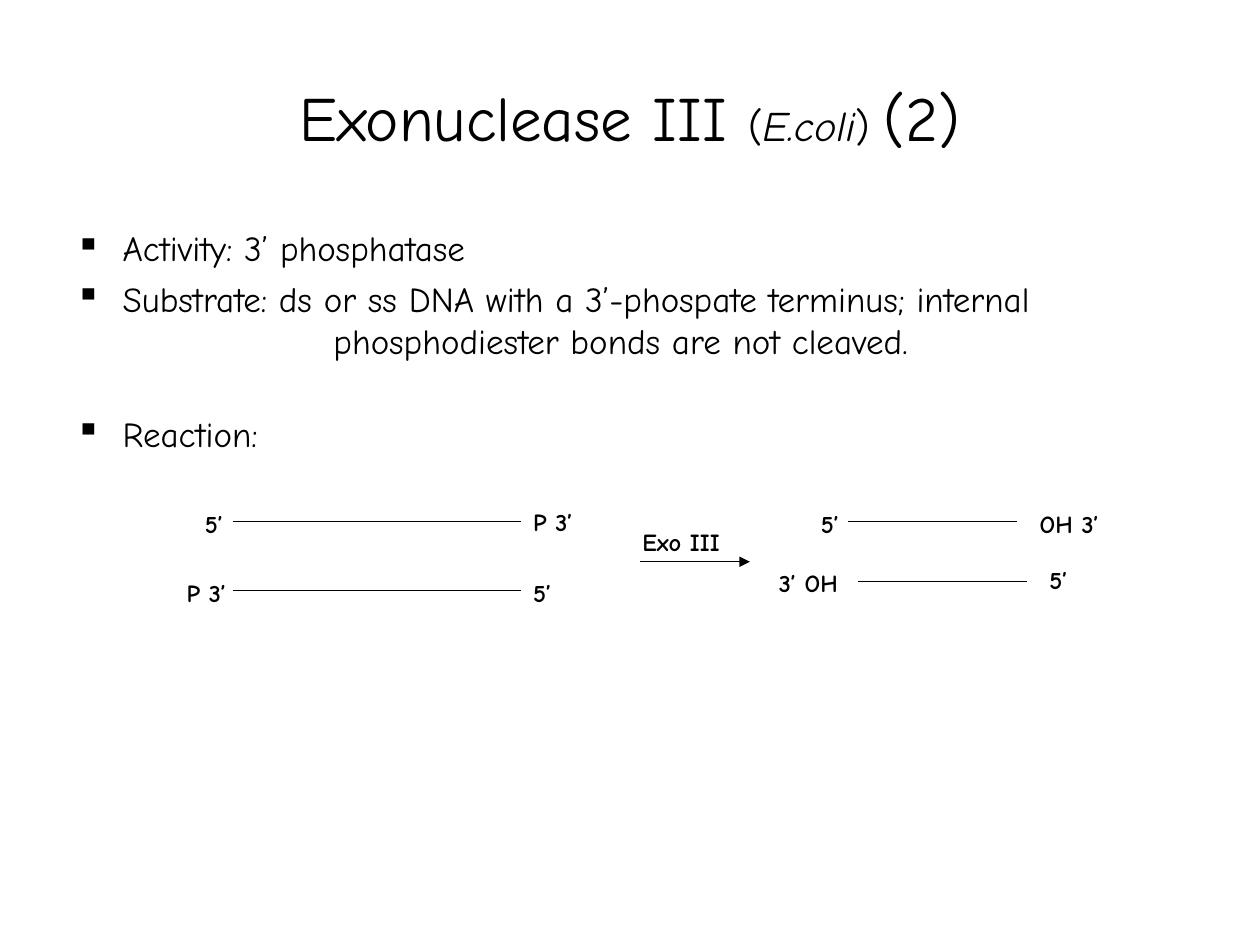
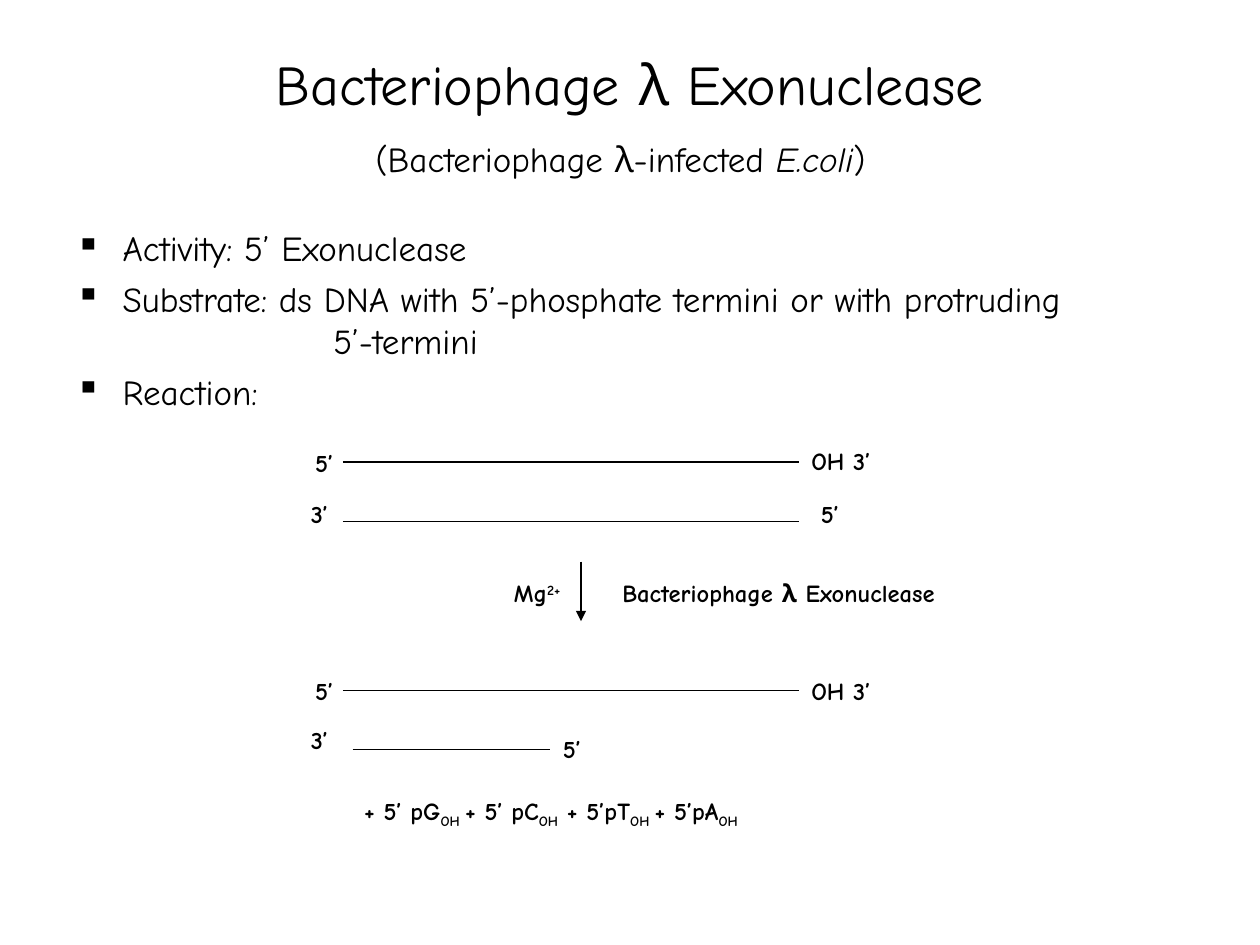
from dataclasses import dataclass

from lxml import etree
from pptx import Presentation
from pptx.dml.color import RGBColor
from pptx.enum import shapes, text
from pptx.oxml import ns
from pptx.util import Pt


@dataclass(frozen=True)
class Theme:
    font: str = "Comic Neue"
    ink: RGBColor = RGBColor(0, 0, 0)
    title: int = 36
    long_title: int = 32
    source: int = 24
    body: int = 20
    label: int = 14
    line: float = 0.75


THEME = Theme()
ITALIC = {"italic": True}
SUBSCRIPT = {"baseline": -25}
SUPERSCRIPT = {"baseline": 30}
BODY_LINE = 24
BULLET_GAP = 5
BULLET_INDENT = 27
CONTINUED_INDENT = 147.5


def add_runs(paragraph, runs, **shared):
    """Write a string, or a list of strings and (string, format) pairs."""
    for part in [runs] if isinstance(runs, str) else runs:
        words, own = (part, {}) if isinstance(part, str) else part
        run = paragraph.add_run()
        run.text = words
        formats = {"name": THEME.font, **shared, **own}
        baseline = formats.pop("baseline", 0)
        for key, value in formats.items():
            setattr(run.font, key, value)
        run.font.color.rgb = THEME.ink
        if baseline:
            run._r.get_or_add_rPr().set("baseline", str(baseline * 1000))


def add_frame(slide, left, top, width, height, anchor=text.MSO_ANCHOR.TOP):
    frame = slide.shapes.add_textbox(Pt(left), Pt(top), Pt(width), Pt(height)).text_frame
    frame.word_wrap = True
    frame.vertical_anchor = anchor
    return frame


def next_paragraph(frame, index):
    return frame.add_paragraph() if index else frame.paragraphs[0]


def add_title(slide, size, *lines):
    frame = add_frame(slide, 36, 21.6, 648, 90, text.MSO_ANCHOR.MIDDLE)
    for index, runs in enumerate(lines):
        paragraph = next_paragraph(frame, index)
        paragraph.alignment = text.PP_ALIGN.CENTER
        add_runs(paragraph, runs, size=Pt(size))


def add_bullet(paragraph):
    properties = paragraph._p.get_or_add_pPr()
    properties.set("indent", str(-Pt(BULLET_INDENT)))
    colour = etree.SubElement(properties, ns.qn("a:buClr"))
    etree.SubElement(colour, ns.qn("a:srgbClr")).set("val", str(THEME.ink))
    etree.SubElement(properties, ns.qn("a:buChar")).set("char", "▪")


def add_facts(slide, activity, substrate, continued, reaction_gap=BULLET_GAP):
    """Activity, substrate (with an indented second line) and reaction."""
    facts = [
        (f"Activity: {activity}", True, 0),
        (f"Substrate: {substrate}", True, BULLET_GAP),
        (continued, False, 0),
        ("Reaction:", True, reaction_gap),
    ]
    frame = add_frame(slide, 36, 126, 648, 356.4)
    for index, (fact, bulleted, gap) in enumerate(facts):
        paragraph = next_paragraph(frame, index)
        margin = BULLET_INDENT if bulleted else CONTINUED_INDENT
        paragraph._p.get_or_add_pPr().set("marL", str(Pt(margin)))
        if bulleted:
            add_bullet(paragraph)
        if gap:
            paragraph.space_before = Pt(gap)
        add_runs(paragraph, fact, size=Pt(THEME.body))


def add_label(slide, runs, left, top, width=76):
    frame = add_frame(slide, left, top, width, 24.5)
    add_runs(frame.paragraphs[0], runs, size=Pt(THEME.label), bold=True)


def add_line(slide, x1, y1, x2, y2, arrow=False):
    line = slide.shapes.add_connector(
        shapes.MSO_CONNECTOR.STRAIGHT, Pt(x1), Pt(y1), Pt(x2), Pt(y2))
    line.line.color.rgb = THEME.ink
    line.line.width = Pt(THEME.line)
    if arrow:
        etree.SubElement(line.line._get_or_add_ln(), ns.qn("a:tailEnd")).set("type", "triangle")
    etree.SubElement(line._element.spPr, ns.qn("a:effectLst"))


def add_strand(slide, start, end, y, left_end, right_end):
    """A DNA strand; each end is (text, left, top) of its label."""
    add_line(slide, start, y, end, y)
    for end_label in (left_end, right_end):
        add_label(slide, *end_label)


def exonuclease_iii(slide):
    add_title(slide, THEME.title, [
        "Exonuclease III ",
        ("(", {"size": Pt(THEME.source)}),
        ("E.coli", {"size": Pt(THEME.source), **ITALIC}),
        (") ", {"size": Pt(THEME.source)}),
        "(2)",
    ])
    add_facts(slide, "3’ phosphatase",
              "ds or ss DNA with a 3’-phospate terminus; internal",
              "phosphodiester bonds are not cleaved.",
              reaction_gap=BULLET_GAP + BODY_LINE)
    for strand in (
        (133, 297.5, 298, ("5’", 110, 287.5), ("P 3’", 297.5, 286)),
        (133, 297.5, 337.5, ("P 3’", 99.5, 327), ("5’", 297.5, 327)),
        (484.5, 581, 298, ("5’", 462, 287.5), ("OH 3’", 587, 287.5)),
        (490.5, 587, 332.5, ("3’ OH", 438, 321), ("5’", 592.5, 319.5)),
    ):
        add_strand(slide, *strand)
    add_line(slide, 366, 321, 428.5, 321, arrow=True)
    add_label(slide, "Exo III", 360, 297.5)


def lambda_exonuclease(slide):
    small = {"size": Pt(THEME.body)}
    add_title(slide, THEME.long_title, "Bacteriophage λ Exonuclease", [
        ("(Bacteriophage λ-infected ", small),
        ("E.coli", {**small, **ITALIC}),
        (")", small),
        " ",
    ])
    add_facts(slide, "5’ Exonuclease",
              "ds DNA with 5’-phosphate termini or with protruding",
              "5’-termini")
    for strand in (
        (196, 456.5, 264, ("5’", 173, 252.5), ("OH 3’", 456.5, 251.5)),
        (196, 456.5, 298, ("3’", 170.5, 281.5), ("5’", 462, 281.5)),
        (196, 456.5, 394.5, ("5’", 173, 382.5), ("OH 3’", 456.5, 382.5)),
        (201.5, 314.5, 428.5, ("3’", 170.5, 410.5), ("5’", 314.5, 416)),
    ):
        add_strand(slide, *strand)
    add_line(slide, 332, 321, 332, 355, arrow=True)
    add_label(slide, ["Mg", ("2+", SUPERSCRIPT)], 286.5, 327)
    add_label(slide, "Bacteriophage λ Exonuclease", 348.5, 327, width=306)
    add_label(slide, [
        "+ 5’ pG", ("OH ", SUBSCRIPT),
        "+ 5’ pC", ("OH", SUBSCRIPT),
        " + 5’pT", ("OH ", SUBSCRIPT),
        "+ 5’pA", ("OH", SUBSCRIPT),
    ], 201, 451.5, width=380)


def main():
    deck = Presentation()
    deck.slide_width, deck.slide_height = Pt(720), Pt(540)
    for build in (exonuclease_iii, lambda_exonuclease):
        build(deck.slides.add_slide(deck.slide_layouts[6]))
    deck.save("out.pptx")


if __name__ == "__main__":
    main()
